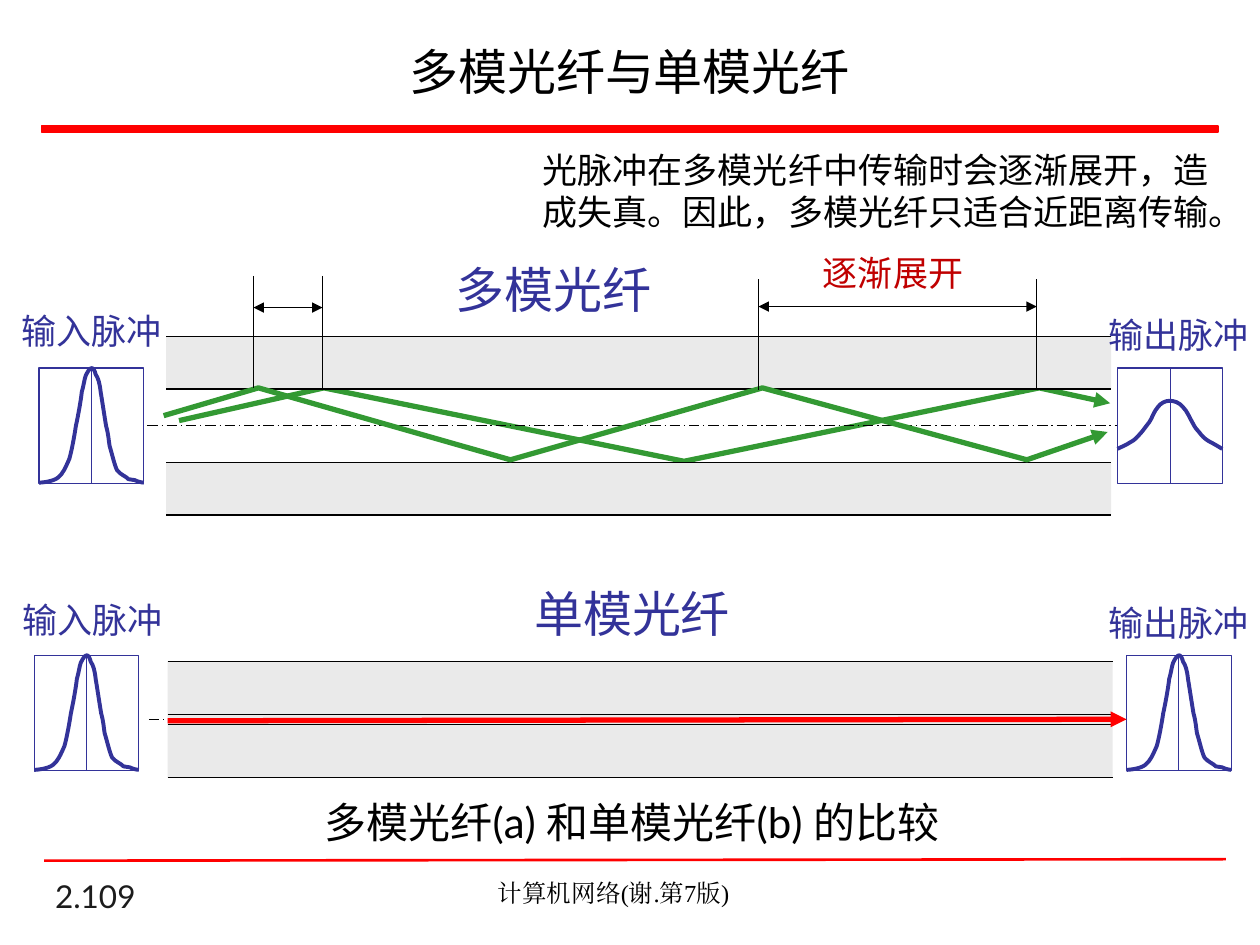
from lxml.etree import SubElement
from pptx import Presentation
from pptx.dml.color import RGBColor
from pptx.enum.dml import MSO_LINE
from pptx.enum.shapes import MSO_CONNECTOR, MSO_SHAPE
from pptx.enum.text import MSO_ANCHOR, PP_ALIGN
from pptx.oxml.ns import qn
from pptx.util import Cm, Pt

COLORS = {
    "ink": "000000", "number": "1C1C1C", "rule": "FF0000", "blue": "333399",
    "green": "339933", "spread": "C00000", "cladding": "EAEAEA", "white": "FFFFFF",
}
CJK = "Noto Sans CJK SC"
FIBRE_WIDTH, CLADDING = 19.05, 1.06
PULSE_WIDTH, PULSE_HEIGHT = 2.11, 2.33

# Bezier points in cm: a start, then two controls and an end for each segment
NARROW_PULSE = [
    (0, 2.31), (.05, 2.31), (.28, 2.29), (.38, 2.21), (.48, 2.13), (.53, 2.01),
    (.61, 1.83), (.66, 1.65), (.71, 1.37), (.74, 1.17), (.79, .94), (.84, .66),
    (.86, .48), (.91, .3), (.91, .23), (.94, .15), (.99, .05), (1.02, 0),
    (1.07, 0), (1.09, 0), (1.12, .05), (1.14, .13), (1.19, .2), (1.22, .3),
    (1.24, .48), (1.27, .66), (1.32, .99), (1.35, 1.17), (1.4, 1.35), (1.4, 1.45),
    (1.42, 1.57), (1.47, 1.73), (1.52, 1.96), (1.57, 2.06), (1.65, 2.16),
    (1.75, 2.18), (1.8, 2.24), (1.85, 2.26), (1.88, 2.26), (1.93, 2.26),
    (1.98, 2.29), (2.08, 2.31), (2.11, 2.31),
]
WIDE_PULSE = [
    (0, 1.63), (.05, 1.6), (.18, 1.55), (.25, 1.5), (.36, 1.45), (.41, 1.37),
    (.46, 1.32), (.53, 1.24), (.56, 1.19), (.64, 1.09), (.69, 1.02), (.74, .86),
    (.81, .79), (.86, .71), (.97, .66), (1.04, .66), (1.14, .66), (1.24, .69),
    (1.32, .79), (1.4, .86), (1.47, 1.04), (1.52, 1.12), (1.57, 1.22), (1.6, 1.24),
    (1.65, 1.3), (1.7, 1.37), (1.75, 1.42), (1.83, 1.47), (1.93, 1.52),
    (2.06, 1.6), (2.11, 1.63),
]


def rgb(name):
    return RGBColor.from_string(COLORS[name])


def style_line(shape, color, width, heads=()):
    shape.line.color.rgb = rgb(color)
    shape.line.width = Pt(width)
    for head in heads:
        SubElement(shape.line._get_or_add_ln(), qn(f"a:{head}"), type="triangle")


def add_line(page, start, end, color="ink", width=.75, heads=(), dash=None):
    line = page.shapes.add_connector(
        MSO_CONNECTOR.STRAIGHT, *(Cm(value) for value in (*start, *end)))
    if dash:
        line.line.dash_style = dash
    style_line(line, color, width, heads)
    SubElement(line._element.spPr, qn("a:effectLst"))


def add_box(page, left, top, width, height, fill, outline=None, weight=.5):
    box = page.shapes.add_shape(
        MSO_SHAPE.RECTANGLE, Cm(left), Cm(top), Cm(width), Cm(height))
    box.shadow.inherit = False
    box.fill.solid()
    box.fill.fore_color.rgb = rgb(fill)
    if outline:
        style_line(box, outline, weight)
    else:
        box.line.fill.background()


def add_path(page, left, top, points, color, width, heads=()):
    places = [(Cm(left + x), Cm(top + y)) for x, y in points]
    builder = page.shapes.build_freeform(*places[0])
    builder.add_line_segments(places[1:], close=False)
    path = builder.convert_to_shape()
    path.shadow.inherit = False
    path.fill.background()
    style_line(path, color, width, heads)
    return path


def add_curve(page, left, top, points):
    """Draw a path whose points are grouped by three into Bezier segments."""
    curve = add_path(page, left, top, points, "blue", 2.25)
    outline = curve._element.find(".//" + qn("a:path"))
    steps = outline.findall(qn("a:lnTo"))
    for first in range(0, len(steps), 3):
        segment = SubElement(outline, qn("a:cubicBezTo"))
        for step in steps[first:first + 3]:
            segment.append(step[0])
            outline.remove(step)


def add_text(page, left, top, width, height, text, size, color="ink", font="Lato",
             align=PP_ALIGN.LEFT, anchor=MSO_ANCHOR.TOP, wrap=True):
    box = page.shapes.add_textbox(Cm(left), Cm(top), Cm(width), Cm(height))
    for name, value in {"word_wrap": wrap, "vertical_anchor": anchor}.items():
        setattr(box.text_frame, name, value)
    para = box.text_frame.paragraphs[0]
    para.alignment = align
    span = para.add_run()
    span.text = text
    for name, value in {"size": Pt(size), "name": font}.items():
        setattr(span.font, name, value)
    span.font.color.rgb = rgb(color)
    SubElement(span._r.get_or_add_rPr(), qn("a:ea"),
               typeface="Lato" if font == CJK else font)


def add_frame(page):
    """Place the title, the two rules, the page number and the footer."""
    add_text(page, 7.19 - 6.2, .56, 23.4, 1.75, "多模光纤与单模光纤", 28,
             align=PP_ALIGN.CENTER, anchor=MSO_ANCHOR.MIDDLE)
    add_box(page, .84, 2.54, 23.72, .13, "rule", "rule", 1)
    add_line(page, (.89, 17.35), (24.71, 17.32), "rule", 1.5)
    add_text(page, .86, 17.73, 5.28, .84, "2.109", 18, "number",
             anchor=MSO_ANCHOR.BOTTOM)
    add_text(page, 7.19, 17.58, 10.36, .86, "计算机网络(谢.第7版)", 14,
             font="Times New Roman", align=PP_ALIGN.CENTER)


def add_fibre(page, left, top, core, core_fill=None):
    """Draw two cladding bands around a core, with their edges and the axis."""
    lower = top + CLADDING + core
    if core_fill:
        add_box(page, left, top + CLADDING, FIBRE_WIDTH, core, core_fill)
    for band in (top, lower):
        add_box(page, left, band, FIBRE_WIDTH, CLADDING, "cladding")
        for edge in (band, band + CLADDING):
            add_line(page, (left, edge), (left + FIBRE_WIDTH, edge))
    axis = top + CLADDING + core / 2
    add_line(page, (left - .38, axis), (left + 19.36, axis),
             dash=MSO_LINE.LONG_DASH_DOT)


def add_pulse(page, left, top, points, weight, label, label_left, label_top):
    middle = left + PULSE_WIDTH / 2
    add_box(page, left, top, PULSE_WIDTH, PULSE_HEIGHT, "white", "blue", weight)
    add_line(page, (middle, top), (middle, top + PULSE_HEIGHT), "blue", .5)
    add_curve(page, left, top, points)
    add_text(page, label_left, label_top, 3.33, 1.09, label, 20, "blue", CJK,
             wrap=False)


def add_span(page, left, right, top, bottom, arrow):
    """Mark the distance between two ray peaks."""
    for x in (left, right):
        add_line(page, (x, top), (x, bottom))
    add_line(page, (left, arrow), (right, arrow), heads=("headEnd", "tailEnd"))


def add_heading(page, left, top, text):
    add_text(page, left, top, 4.5, 1.45, text, 28, "blue", wrap=False)


def add_single_mode(page, left, top):
    add_fibre(page, left, top, .21, "cladding")
    add_pulse(page, left - 2.69, top - .13, NARROW_PULSE, .5,
              "输入脉冲", left - 3.18, top - 1.4)
    add_pulse(page, left + 19.33, top - .13, NARROW_PULSE, .5,
              "输出脉冲", left + 18.72, top - 1.33)
    add_heading(page, left + 7.14, top - 1.71, "单模光纤")
    add_line(page, (left, top + 1.19), (left + 19.33, top + 1.16), "rule", 3,
             ("tailEnd",))


def add_multi_mode(page, left, top):
    low_ray = [(.26, 1.7), (3.18, 1.04), (10.44, 2.52), (17.6, 1.04), (19.03, 1.35)]
    high_ray = [(-.05, 1.6), (1.86, 1.04), (6.94, 2.49), (12.02, 1.04),
                (17.35, 2.49), (18.98, 1.93)]
    add_path(page, left, top, low_ray, "green", 3, ("tailEnd",))
    add_fibre(page, left, top, 1.48)
    add_pulse(page, left - 2.56, top + .64, NARROW_PULSE, .75,
              "输入脉冲", left - 3.17, top - .66)
    add_pulse(page, left + 19.18, top + .64, WIDE_PULSE, .75,
              "输出脉冲", left + 18.75, top - .58)
    add_path(page, left, top, high_ray, "green", 3, ("tailEnd",))
    add_heading(page, left + 5.59, top - 1.67, "多模光纤")
    add_span(page, left + 1.76, left + 3.15, top - 1.22, top + 1.04, top - .58)
    add_span(page, left + 11.94, left + 17.55, top - 1.15, top + 1.09, top - .6)
    add_text(page, left + 12.98, top - 1.83, 3.35, 1.12, "逐渐展开", 20, "spread",
             align=PP_ALIGN.CENTER, wrap=False)


def main():
    deck = Presentation()
    deck.slide_width, deck.slide_height = Cm(25.4), Cm(19.05)
    page = deck.slides.add_slide(deck.slide_layouts[6])
    add_frame(page)
    add_single_mode(page, 3.38, 13.34)
    add_multi_mode(page, 3.35, 6.78)
    add_text(page, 10.69, 2.87, 13.94, 1.96,
             "光脉冲在多模光纤中传输时会逐渐展开，造成失真。因此，多模光纤只适合近距离传输。", 20)
    add_text(page, 4.04, 15.93, 17.4, 1.27, "多模光纤(a) 和单模光纤(b) 的比较", 24,
             align=PP_ALIGN.CENTER)
    deck.save("out.pptx")


if __name__ == "__main__":
    main()
